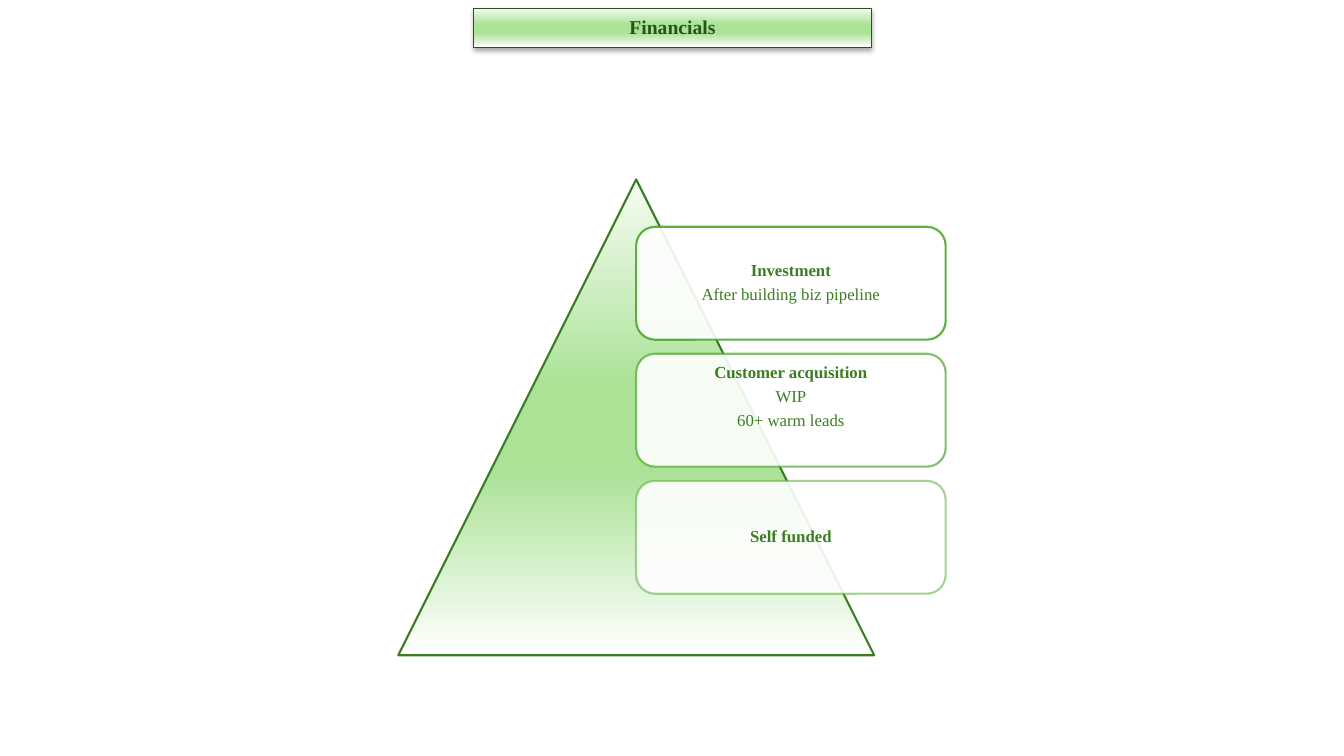
from lxml.etree import SubElement
from pptx import Presentation
from pptx.dml.color import RGBColor
from pptx.enum.shapes import MSO_SHAPE
from pptx.enum.text import MSO_ANCHOR, MSO_AUTO_SIZE, PP_ALIGN
from pptx.oxml import parse_xml
from pptx.oxml.ns import nsdecls, qn
from pptx.util import Inches, Pt

DARK_GREEN, GREEN, BRIGHT_GREEN = "275417", "3B7D23", "4EA72E"
PALE_GREEN, LIGHT_GREEN, WHITE = "F6FCF3", "AAE296", "FFFFFF"


def color(hex_string):
    return RGBColor.from_string(hex_string)


class SlideBuilder:
    """Holds the text style and the current slide."""

    font_name = "Times New Roman"
    line_spacing = 0.9

    def __init__(self, slide):
        self.slide = slide

    def add_title(self, text, left, top, width, height, stops):
        title = self.slide.shapes.title
        title.left, title.top = Inches(left), Inches(top)
        title.width, title.height = Inches(width), Inches(height)
        properties = title.element.spPr
        properties.append(parse_xml(
            f'<a:prstGeom {nsdecls("a")} prst="roundRect"><a:avLst/></a:prstGeom>'))
        self.fill_gradient(title, stops)
        self.set_line(title, DARK_GREEN, 0.75)
        properties.append(parse_xml(
            f'<a:effectLst {nsdecls("a")}><a:outerShdw blurRad="{Pt(3.5)}" '
            f'dist="{Pt(2.2)}" dir="5400000" algn="t" rotWithShape="0">'
            '<a:srgbClr val="000000"><a:alpha val="32000"/></a:srgbClr>'
            '</a:outerShdw></a:effectLst>'))
        self.add_text(title, [(text, True)], 14, DARK_GREEN)

    def add_triangle(self, left, top, width, height, stops):
        triangle = self.add_shape(
            MSO_SHAPE.ISOSCELES_TRIANGLE, left, top, width, height)
        self.fill_gradient(triangle, stops)
        self.set_line(triangle, GREEN, 1.5)

    def add_card(self, left, top, width, height, lines, line_opacity, anchor):
        card = self.add_shape(
            MSO_SHAPE.ROUNDED_RECTANGLE, left, top, width, height)
        card.fill.solid()
        card.fill.fore_color.rgb = color(WHITE)
        self.set_line(card, BRIGHT_GREEN, 1.5)
        properties = card.element.spPr
        self.set_opacity(properties, 90)
        self.set_opacity(properties.find(qn("a:ln")), line_opacity)
        self.add_text(card, lines, 12, GREEN, anchor, space_after=4.2)

    def add_shape(self, kind, left, top, width, height):
        shape = self.slide.shapes.add_shape(
            kind, Inches(left), Inches(top), Inches(width), Inches(height))
        shape.shadow.inherit = False
        return shape

    def fill_gradient(self, shape, stops):
        shape.fill.gradient()
        shape.fill.gradient_angle = 270  # counter-clockwise: top to bottom
        stop_list = shape.element.spPr.find(qn("a:gradFill")).find(qn("a:gsLst"))
        for stop in list(stop_list):
            stop_list.remove(stop)
        for position, hex_string in stops:
            stop = SubElement(stop_list, qn("a:gs"), pos=str(position * 1000))
            SubElement(stop, qn("a:srgbClr"), val=hex_string)

    def set_line(self, shape, hex_string, width):
        shape.line.color.rgb = color(hex_string)
        shape.line.width = Pt(width)

    def set_opacity(self, parent, percent):
        solid_color = parent.find(qn("a:solidFill"))[0]
        SubElement(solid_color, qn("a:alpha"), val=str(percent * 1000))

    def add_text(self, shape, lines, size, hex_string,
                 anchor=MSO_ANCHOR.MIDDLE, space_after=0):
        frame = shape.text_frame
        frame.word_wrap = True
        frame.auto_size = MSO_AUTO_SIZE.NONE
        frame.vertical_anchor = anchor
        frame.margin_left = frame.margin_right = Inches(0.05)
        frame.margin_top = frame.margin_bottom = Inches(0.05)
        for index, (text, bold) in enumerate(lines):
            paragraph = frame.add_paragraph() if index else frame.paragraphs[0]
            paragraph.alignment = PP_ALIGN.CENTER
            paragraph.line_spacing = self.line_spacing
            paragraph.space_after = Pt(space_after)
            run = paragraph.add_run()
            run.text = text
            run.font.name = self.font_name
            run.font.size = Pt(size)
            run.font.bold = bold
            run.font.color.rgb = color(hex_string)


def main():
    presentation = Presentation()
    presentation.slide_width, presentation.slide_height = Inches(13.33), Inches(7.5)
    title_only = presentation.slide_layouts[5]
    builder = SlideBuilder(presentation.slides.add_slide(title_only))

    # Title banner
    builder.add_title("Financials", 4.7, 0.08, 3.94, 0.39, [
        (0, PALE_GREEN), (42, LIGHT_GREEN), (63, LIGHT_GREEN), (100, WHITE)])

    # Pyramid
    builder.add_triangle(3.95, 1.78, 4.72, 4.72, [
        (0, PALE_GREEN), (44, LIGHT_GREEN), (61, LIGHT_GREEN), (100, WHITE)])

    # Funding stages, evenly spaced from the top of the pyramid down
    stages = [
        ([("Investment", True), ("After building biz pipeline", False)],
         90, MSO_ANCHOR.MIDDLE),
        ([("Customer acquisition", True), ("WIP", False), ("60+ warm leads", False)],
         70, MSO_ANCHOR.TOP),
        ([("Self funded", True)], 50, MSO_ANCHOR.MIDDLE),
    ]
    for row, (lines, line_opacity, anchor) in enumerate(stages):
        builder.add_card(6.31, 2.25 + 1.26 * row, 3.07, 1.12,
                         lines, line_opacity, anchor)

    presentation.save("out.pptx")


if __name__ == "__main__":
    main()
